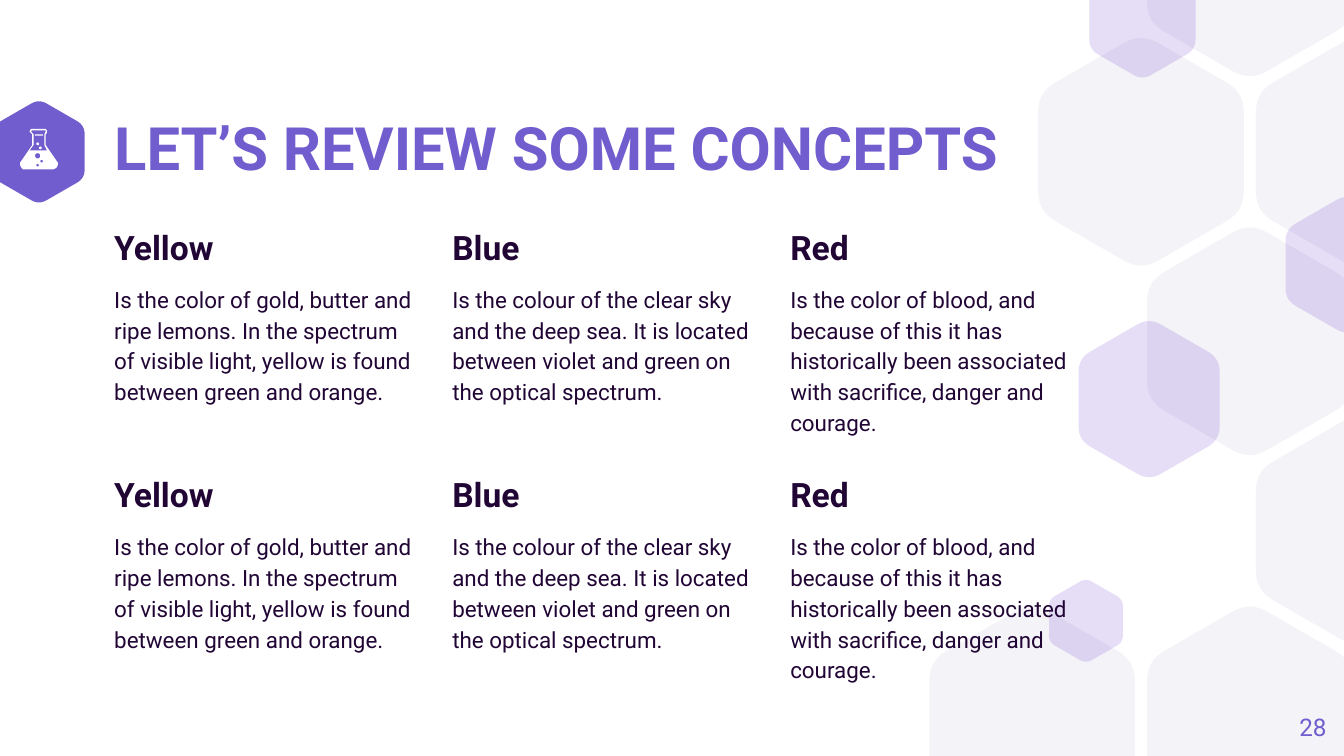
from copy import deepcopy
from itertools import product
from math import cos, pi, sin, sqrt

from lxml.etree import SubElement
from pptx import Presentation
from pptx.dml.color import RGBColor as Color
from pptx.enum.shapes import MSO_SHAPE as Shape
from pptx.enum.text import MSO_ANCHOR as Anchor, MSO_AUTO_SIZE as AutoSize, PP_ALIGN as Align
from pptx.oxml.ns import qn
from pptx.util import Inches, Pt

TITLE = "LET’S REVIEW SOME CONCEPTS"
PAGE_NUMBER = "28"
CONCEPTS = [
    ("Yellow", "Is the color of gold, butter and ripe lemons. In the spectrum of visible light, "
               "yellow is found between green and orange."),
    ("Blue", "Is the colour of the clear sky and the deep sea. It is located between violet and "
             "green on the optical spectrum."),
    ("Red", "Is the color of blood, and because of this it has historically been associated with "
            "sacrifice, danger and courage."),
]
ROWS = 2
THEME = {
    "font": "Roboto", "brand": "725DCF", "ink": "210635", "cell": "F4F3F8",
    "accent": "5322C9", "accent_alpha": 15, "icon": "FFFFFF",
    "title": 32, "heading": 18, "body": 12, "number": 13,
}
WIDTH = 10
HEIGHT = WIDTH * 9 / 16
LEFT, RIGHT = 0.85, 8.15
COLUMN_WIDTH = 2.27
COLUMN_STEP = (RIGHT - COLUMN_WIDTH - LEFT) / (len(CONCEPTS) - 1)

HONEYCOMB = [(4, 0), (4, 2), (1, 3), (0, 2), (2, 2), (1, 1), (3, 3)]
CELL_WIDTH = 1.53
ACCENTS = [(10.02, 1.97, 0.91), (8.08, 4.62, 0.55), (8.5, 0.14, 0.79), (8.55, 2.97, 1.05)]
BADGE = (0.29, 1.13, 0.68)

FLASK = [(0.24, 0.96), (0.34, 0.96), (0.35, 0.97), (0.35, 0.99), (0.34, 1), (0.34, 1.08),
         (0.43, 1.21), (0.43, 1.23), (0.42, 1.25), (0.4, 1.26), (0.17, 1.26), (0.16, 1.25),
         (0.15, 1.23), (0.15, 1.21), (0.24, 1.08), (0.24, 1), (0.22, 0.98), (0.23, 0.96)]
FLASK_AIR = [(0.24, 0.97), (0.34, 0.97), (0.34, 0.98), (0.33, 1), (0.33, 1.08), (0.35, 1.12),
             (0.22, 1.12), (0.25, 1.08), (0.25, 1), (0.23, 0.98)]
LIQUID_BUBBLES = [(0.28, 1.16, 0.02), (0.31, 1.2, 0.01), (0.28, 1.23, 0.01)]
FLASK_MARKS = [(Shape.OVAL, 0.29, 1.09, 0.02, 0.02), (Shape.OVAL, 0.27, 1.06, 0.02, 0.02),
               (Shape.ROUNDED_RECTANGLE, 0.26, 1, 0.06, 0.01)]


def circle(x, y, radius, steps=16):
    angles = [2 * pi * step / steps for step in range(steps)]
    return [(x + radius * cos(angle), y + radius * sin(angle)) for angle in angles]


def rounded_hexagon(x, y, width, steps=8):
    corners = circle(0, 0, width / sqrt(3), 6)
    corners = [(x + dy, y + dx) for dx, dy in corners]
    points = []
    for index, corner in enumerate(corners):
        before, after = corners[index - 1], corners[(index + 1) % 6]
        start, end = ([c + (n - c) / 6 for c, n in zip(corner, near)] for near in (before, after))
        for step in range(steps + 1):
            t = step / steps
            px, py = ((1 - t) ** 2 * s + 2 * t * (1 - t) * c + t ** 2 * e
                      for s, c, e in zip(start, corner, end))
            points.append((px, min(max(py, 0), HEIGHT)))
    return points


def paint(shape, color, alpha=None):
    shape.shadow.inherit = False
    shape.fill.solid()
    shape.fill.fore_color.rgb = Color.from_string(color)
    shape.line.fill.background()
    if alpha is not None:
        tint = shape.fill._xPr.find(".//" + qn("a:srgbClr"))
        SubElement(tint, qn("a:alpha")).set("val", str(alpha * 1000))


def draw_outline(page, contours, color, alpha=None):
    contours = [[(Inches(x), Inches(y)) for x, y in contour] for contour in contours]
    builder = page.shapes.build_freeform(*contours[0][0], scale=1.0)
    for index, contour in enumerate(contours):
        if index:
            builder.move_to(*contour[0])
        builder.add_line_segments(contour[1:], close=True)
    paint(builder.convert_to_shape(), color, alpha)


def place(box, left, top, width, height, anchor=Anchor.TOP):
    box.left, box.top, box.width, box.height = map(Inches, (left, top, width, height))
    frame = box.text_frame
    frame.word_wrap = True
    frame.auto_size = AutoSize.NONE
    frame.vertical_anchor = anchor
    frame.margin_left = frame.margin_right = frame.margin_top = frame.margin_bottom = 0
    return frame


def write(para, text, size, color, bold=False, align=Align.LEFT, spacing=1.0, before=0, after=0):
    para.alignment = align
    para.line_spacing = spacing
    para.space_before, para.space_after = Pt(before), Pt(after)
    properties = para._p.get_or_add_pPr()
    properties.set("marL", "0")
    properties.set("indent", "0")
    SubElement(properties, qn("a:buNone"))
    span = para.add_run()
    span.text = text
    span.font.name = THEME["font"]
    span.font.size = Pt(THEME[size])
    span.font.bold = bold
    span.font.color.rgb = Color.from_string(THEME[color])


def add_body_placeholders(layout, count):
    body = layout.placeholders[1]._element
    for number in range(1, count):
        twin = deepcopy(body)
        twin.ph.idx = 20 + number
        twin.nvSpPr.cNvPr.id = 20 + number
        body.getparent().append(twin)


def main():
    deck = Presentation()
    deck.slide_width, deck.slide_height = Inches(WIDTH), Inches(HEIGHT)
    layout = deck.slide_layouts[1]
    add_body_placeholders(layout, ROWS * len(CONCEPTS))
    page = deck.slides.add_slide(layout)
    title = page.shapes.title
    bodies = [box for box in page.placeholders if box.shape_id != title.shape_id]

    draw_outline(page, [rounded_hexagon(*BADGE)], THEME["brand"])
    for row, column in HONEYCOMB:
        cell = rounded_hexagon(7.68 + 0.81 * column, -0.28 + 1.41 * row, CELL_WIDTH)
        draw_outline(page, [cell], THEME["cell"])
    for accent in ACCENTS:
        draw_outline(page, [rounded_hexagon(*accent)], THEME["accent"], THEME["accent_alpha"])

    bubbles = [circle(*bubble) for bubble in LIQUID_BUBBLES]
    draw_outline(page, [FLASK, FLASK_AIR, *bubbles], THEME["icon"])
    for kind, *bounds in FLASK_MARKS:
        paint(page.shapes.add_shape(kind, *map(Inches, bounds)), THEME["icon"])

    for box in [title, *bodies]:
        page.shapes._spTree.append(box._element)
    frame = place(title, LEFT, 0.91, RIGHT - LEFT, 0.43, Anchor.MIDDLE)
    write(frame.paragraphs[0], TITLE, "title", "brand", bold=True, spacing=0.9)

    slots = product(range(ROWS), enumerate(CONCEPTS))
    for box, (row, (column, (heading, text))) in zip(bodies, slots):
        frame = place(box, LEFT + COLUMN_STEP * column, 1.64 + 1.84 * row, COLUMN_WIDTH, 1.5)
        write(frame.paragraphs[0], heading, "heading", "ink", bold=True, spacing=1.15)
        write(frame.add_paragraph(), text, "body", "ink", spacing=1.15, before=8, after=8)

    number = page.shapes.add_textbox(0, 0, 0, 0)
    frame = place(number, 9.27, 5.19, 0.6, 0.43, Anchor.MIDDLE)
    write(frame.paragraphs[0], PAGE_NUMBER, "number", "brand", align=Align.RIGHT)
    deck.save("out.pptx")


if __name__ == "__main__":
    main()
